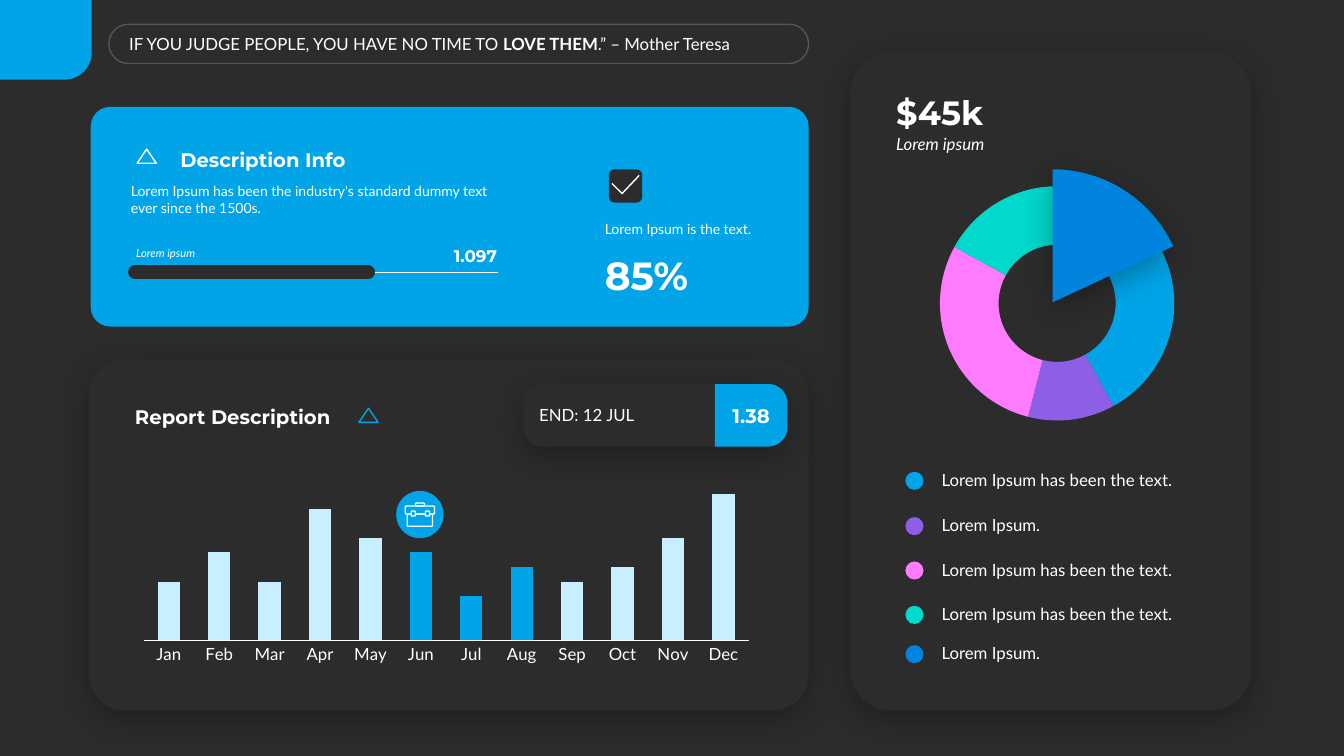
import math

from lxml import etree
from pptx import Presentation
from pptx import util as u
from pptx.chart.data import CategoryChartData
from pptx.dml.color import RGBColor
from pptx.enum import chart as charts, shapes, text
from pptx.oxml import parse_xml
from pptx.oxml.ns import nsdecls, qn

Inches, Pt = u.Inches, u.Pt
DARK, WHITE, BLUE, PALE = "2C2C2C", "FFFFFF", "01A4E7", "C8EFFF"
PURPLE, PINK, TEAL, DEEP_BLUE = "8D5FE6", "FD7BFC", "01D9CC", "0084DE"
MONTHS = "Jan Feb Mar Apr May Jun Jul Aug Sep Oct Nov Dec".split()
MONTH_VALUES = [40, 60, 40, 90, 70, 60, 30, 50, 40, 50, 70, 100]
HIGHLIGHTED = ("Jun", "Jul", "Aug")
LONG_LABEL, SHORT_LABEL = "Lorem Ipsum has been the text.", "Lorem Ipsum."
LEGEND = [
    (4.68, BLUE, LONG_LABEL),
    (5.13, PURPLE, SHORT_LABEL),
    (5.57, PINK, LONG_LABEL),
    (6.01, TEAL, LONG_LABEL),
    (6.40, DEEP_BLUE, SHORT_LABEL),
]
KIND = shapes.MSO_SHAPE
ANCHOR = text.MSO_ANCHOR
ALIGN = text.PP_ALIGN


def paint(fill, color):
    fill.solid()
    fill.fore_color.rgb = RGBColor.from_string(color)


def style(shape, fill=None, line=None, weight=1):
    shape.shadow.inherit = False
    if fill:
        paint(shape.fill, fill)
    else:
        shape.fill.background()
    if line:
        paint(shape.line.fill, line)
        shape.line.width = Pt(weight)
    else:
        shape.line.fill.background()
    return shape


def add_shape(slide, kind, left, top, width, height, adjust=(), shadow=False, **look):
    shape = slide.shapes.add_shape(
        kind, Inches(left), Inches(top), Inches(width), Inches(height))
    for index, value in enumerate(adjust):
        shape.adjustments[index] = value
    style(shape, **look)
    if shadow:
        add_shadow(shape)
    return shape


def add_shadow(shape):
    effects = shape._element.spPr.find(qn("a:effectLst"))
    effects.append(parse_xml(
        f'<a:outerShdw {nsdecls("a")} blurRad="{Pt(23)}" dist="{Pt(6)}" dir="5400000" '
        'algn="t" rotWithShape="0"><a:srgbClr val="000000"><a:alpha val="30000"/>'
        '</a:srgbClr></a:outerShdw>'))


def add_outline(slide, points, close=True, **look):
    points = [(Inches(x), Inches(y)) for x, y in points]
    builder = slide.shapes.build_freeform(*points[0], scale=1.0)
    builder.add_line_segments(points[1:], close=close)
    return style(builder.convert_to_shape(), **look)


def add_tab(slide, left, top, width, height, top_radius, bottom_radius):
    """Blue rectangle with only its right-hand corners rounded."""
    right, bottom = left + width, top + height
    points = [(left, bottom), (left, top)]
    for radius, center_y, start in ((top_radius, top + top_radius, -90),
                                    (bottom_radius, bottom - bottom_radius, 0)):
        for angle in range(start, start + 91, 6):
            turn = math.radians(angle)
            points.append((right - radius + radius * math.cos(turn),
                           center_y + radius * math.sin(turn)))
    add_outline(slide, points, fill=BLUE)


def add_line(slide, start, end, color, weight, round_cap=False):
    line = slide.shapes.add_connector(
        shapes.MSO_CONNECTOR.STRAIGHT, *[Inches(value) for value in (*start, *end)])
    paint(line.line.fill, color)
    line.line.width = Pt(weight)
    if round_cap:
        line.line._get_or_add_ln().set("cap", "rnd")
    etree.SubElement(line._element.spPr, qn("a:effectLst"))


def add_text(slide, content, left, top, width, height, size=12, font="Lato", bold=False,
             italic=False, align=ALIGN.LEFT, anchor=ANCHOR.TOP, insets=(0.1, 0.1), box=None):
    """Content is a string or a list of (string, bold) runs."""
    box = box or slide.shapes.add_textbox(0, 0, 0, 0)
    box.left, box.top = Inches(left), Inches(top)
    box.width, box.height = Inches(width), Inches(height)
    frame = box.text_frame
    frame.word_wrap = True
    frame.auto_size = text.MSO_AUTO_SIZE.NONE
    frame.vertical_anchor = anchor
    frame.margin_left, frame.margin_right = [Inches(inset) for inset in insets]
    frame.margin_top = frame.margin_bottom = Inches(0.05)
    paragraph = frame.paragraphs[0]
    paragraph.alignment = align
    paragraph.line_spacing = 1.0
    paragraph.space_before = Pt(0)
    for words, is_bold in [(content, bold)] if isinstance(content, str) else content:
        run = paragraph.add_run()
        run.text = words
        run.font.size, run.font.name = Pt(size), font
        run.font.bold, run.font.italic = is_bold, italic
        run.font.color.rgb = RGBColor.from_string(WHITE)


def add_heading(slide, content, *place, size=14, **format):
    add_text(slide, content, *place, size=size, font="Montserrat", bold=True, **format)


def add_chart(slide, kind, place, categories, values, colors, size):
    data = CategoryChartData()
    data.categories = categories
    data.add_series("Series 1", values)
    chart = slide.shapes.add_chart(kind, *[Inches(value) for value in place], data).chart
    chart.has_legend = chart.has_title = False
    chart.font.name, chart.font.size = "Lato", Pt(size)
    chart.font.color.rgb = RGBColor.from_string(WHITE)
    for index, color in enumerate(colors):
        point = chart.plots[0].series[0].points[index].format
        paint(point.fill, color)
        point.line.fill.background()
    return chart


def add_month_chart(slide):
    colors = [BLUE if month in HIGHLIGHTED else PALE for month in MONTHS]
    chart = add_chart(slide, charts.XL_CHART_TYPE.COLUMN_CLUSTERED, (1.3, 4.57, 6.25, 2.06),
                      MONTHS, MONTH_VALUES, colors, 12)
    plot = chart.plots[0]
    plot.gap_width, plot.overlap = 125, -27
    plot.vary_by_categories = False
    values = chart.value_axis
    values.minimum_scale, values.maximum_scale = 0, 120
    values.has_major_gridlines = values.visible = False
    months = chart.category_axis
    months.major_tick_mark = charts.XL_TICK_MARK.NONE
    paint(months.format.line.fill, WHITE)
    months.format.line.width = Pt(0.75)


def add_briefcase(slide):
    add_shape(slide, KIND.OVAL, 3.93, 4.87, 0.47, 0.47, fill=BLUE)
    for left, top, width, height, radius in (
            (4.12, 4.99, 0.09, 0.03, 0.4), (4.04, 5.1, 0.25, 0.12, 0.05),
            (4.02, 5.02, 0.29, 0.08, 0.15)):
        add_shape(slide, KIND.ROUNDED_RECTANGLE, left, top, width, height, [radius],
                  line=WHITE, weight=0.9)
    for left in (4.08, 4.22):
        add_shape(slide, KIND.ROUNDED_RECTANGLE, left, 5.07, 0.04, 0.05, [0.2],
                  fill=BLUE, line=WHITE, weight=0.9)


def add_info_panel(slide):
    add_shape(slide, KIND.ROUNDED_RECTANGLE, 0.9, 1.06, 7.12, 2.18, [0.089], fill=BLUE)
    add_shape(slide, KIND.ROUNDED_RECTANGLE, 6.04, 1.68, 0.33, 0.33, fill=DARK)
    add_outline(slide, [(6.07, 1.82), (6.17, 1.92), (6.34, 1.74)], close=False, line=WHITE)
    add_text(slide, "Lorem Ipsum is the text.", 5.9, 2.13, 1.88, 0.27, size=10,
             anchor=ANCHOR.BOTTOM)
    add_heading(slide, "85%", 5.9, 2.44, 1.88, 0.57, size=28)
    add_line(slide, (1.34, 2.7), (4.94, 2.7), WHITE, 0.5)
    add_line(slide, (1.34, 2.7), (3.65, 2.7), DARK, 10, round_cap=True)
    add_text(slide, "Lorem ipsum", 1.27, 2.39, 1.92, 0.24, size=8, italic=True,
             anchor=ANCHOR.BOTTOM, insets=(0.08, 0.1))
    add_heading(slide, "1.097", 4.32, 2.39, 0.65, 0.3, size=12, align=ALIGN.RIGHT,
                anchor=ANCHOR.BOTTOM, insets=(0.1, 0.04))
    add_heading(slide, "Description Info", 1.69, 1.41, 3.49, 0.34, anchor=ANCHOR.BOTTOM)
    add_shape(slide, KIND.ISOSCELES_TRIANGLE, 1.36, 1.48, 0.19, 0.14, line=WHITE)
    add_text(slide, "Lorem Ipsum has been the industry's standard dummy text ever since "
             "the 1500s.", 1.2, 1.76, 3.98, 0.44, size=10)


def add_report_panel(slide):
    add_shape(slide, KIND.ROUNDED_RECTANGLE, 0.88, 3.56, 7.14, 3.49, [0.103], True, fill=DARK)
    add_shape(slide, KIND.ROUNDED_RECTANGLE, 5.19, 3.81, 2.61, 0.62, [0.311], True, fill=DARK)
    add_text(slide, "END: 12 JUL", 5.25, 3.97, 1.9, 0.3, anchor=ANCHOR.MIDDLE)
    add_tab(slide, 7.09, 3.81, 0.72, 0.62, 0.19, 0.19)
    add_heading(slide, "1.38", 7.09, 3.95, 0.72, 0.34, align=ALIGN.CENTER,
                anchor=ANCHOR.MIDDLE, insets=(0.04, 0.04))
    add_heading(slide, "Report Description", 1.24, 3.96, 3.52, 0.34, anchor=ANCHOR.MIDDLE)
    add_month_chart(slide)
    add_shape(slide, KIND.ISOSCELES_TRIANGLE, 3.56, 4.05, 0.19, 0.14, line=BLUE)
    add_briefcase(slide)


def add_share_panel(slide):
    add_shape(slide, KIND.ROUNDED_RECTANGLE, 8.43, 0.52, 3.98, 6.53, [0.103], True, fill=DARK)
    add_text(slide, "Lorem ipsum", 8.79, 1.28, 3.32, 0.3, italic=True)
    add_heading(slide, "$45k", 8.79, 0.86, 3.32, 0.5, size=24, anchor=ANCHOR.BOTTOM)
    add_chart(slide, charts.XL_CHART_TYPE.DOUGHNUT, (8.86, 1.71, 3.25, 2.6),
              ["1", "2", "3", "4"], [42, 12, 29, 17], [BLUE, PURPLE, PINK, TEAL], 10)
    add_shape(slide, KIND.ARC, 9.12, 1.68, 2.64, 2.64, [162, 201.05], True, fill=DEEP_BLUE)
    for top, color, label in LEGEND:
        add_shape(slide, KIND.OVAL, 8.98, top, 0.18, 0.18, fill=color)
        add_text(slide, label, 9.24, top - 0.07, 2.73, 0.3, anchor=ANCHOR.MIDDLE)


def main():
    presentation = Presentation()
    presentation.slide_width, presentation.slide_height = Inches(13.33), Inches(7.5)
    slide = presentation.slides.add_slide(presentation.slide_layouts[5])
    paint(slide.background.fill, DARK)
    pill = add_shape(slide, KIND.ROUNDED_RECTANGLE, 1.08, 0.24, 6.94, 0.39, [0.5], line=WHITE)
    line_color = pill.line._get_or_add_ln().find(".//" + qn("a:srgbClr"))
    etree.SubElement(line_color, qn("a:alpha")).set("val", "20000")
    quote = [("IF YOU JUDGE PEOPLE, YOU HAVE NO TIME TO ", False), ("LOVE THEM", True),
             (".” – Mother Teresa", False)]
    add_text(slide, quote, 1.24, 0.28, 6.55, 0.3, anchor=ANCHOR.MIDDLE, insets=(0.04, 0.04),
             box=slide.shapes.title)
    add_tab(slide, 0, 0, 0.91, 0.79, 0, 0.27)
    add_info_panel(slide)
    add_report_panel(slide)
    add_share_panel(slide)
    presentation.save("out.pptx")


if __name__ == "__main__":
    main()
